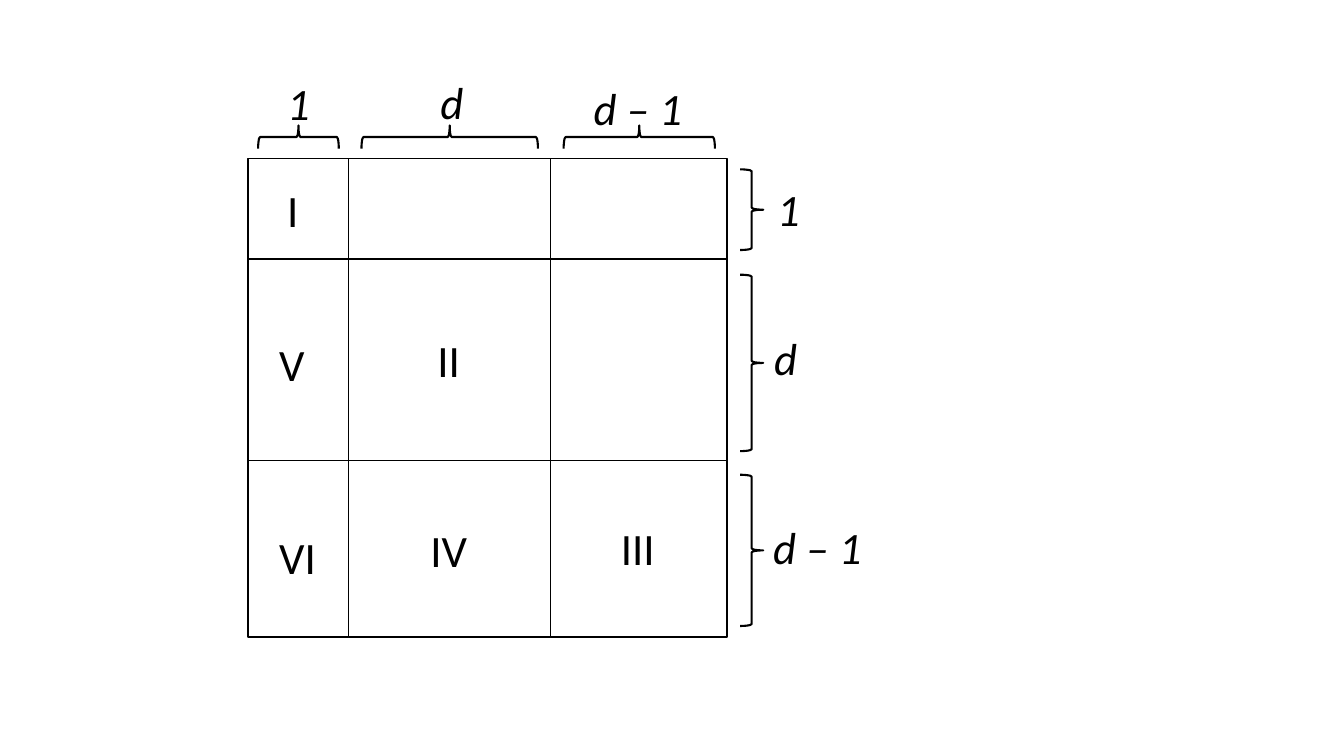
from dataclasses import dataclass
from itertools import accumulate
from pptx import Presentation
from pptx.dml.color import RGBColor
from pptx.enum.shapes import MSO_SHAPE
from pptx.enum.text import MSO_AUTO_SIZE
from pptx.util import Inches, Pt


@dataclass(frozen=True)
class Theme:
    ink: RGBColor = RGBColor(0, 0, 0)
    font: str = "Calibri"
    text_size: Pt = Pt(32)
    cell_line: Pt = Pt(1)
    brace_line: Pt = Pt(1.5)


theme = Theme()
deck = Presentation()
deck.slide_width, deck.slide_height = Inches(13.33), Inches(7.5)
slide = deck.slides.add_slide(deck.slide_layouts[6])


def add_outline(kind, left, top, width, height, weight, rotation=0):
    outline = slide.shapes.add_shape(
        kind, Inches(left), Inches(top), Inches(width), Inches(height))
    outline.rotation = rotation
    outline.shadow.inherit = False
    outline.fill.background()
    outline.line.color.rgb = theme.ink
    outline.line.width = weight


def add_label(text, left, top, width, italic):
    label = slide.shapes.add_textbox(
        Inches(left), Inches(top), Inches(width), Inches(0.64))
    frame = label.text_frame
    frame.word_wrap = italic
    frame.auto_size = MSO_AUTO_SIZE.SHAPE_TO_FIT_TEXT
    paragraph = frame.paragraphs[0]
    paragraph.text = text
    paragraph.font.name = theme.font
    paragraph.font.size = theme.text_size
    paragraph.font.italic = italic
    paragraph.font.color.rgb = theme.ink


block_sizes = [1, 2, 1.75]
matrix_left, matrix_top = 2.46, 1.57
column_lefts = list(accumulate(block_sizes[:-1], initial=matrix_left))
row_tops = list(accumulate(block_sizes[:-1], initial=matrix_top))

for top, height in zip(row_tops, block_sizes):
    for left, width in zip(column_lefts, block_sizes):
        add_outline(MSO_SHAPE.RECTANGLE, left, top, width, height, theme.cell_line)

numerals = [
    ("I", 2.75, 1.76, 0.32),
    ("II", 4.24, 3.25, 0.43),
    ("III", 6.06, 5.12, 0.54),
    ("IV", 4.17, 5.14, 0.57),
    ("V", 2.67, 3.29, 0.46),
    ("VI", 2.67, 5.21, 0.57),
]
for numeral, left, top, width in numerals:
    add_label(numeral, left, top, width, italic=False)

brace_depth = 0.23
column_brace_middle = 1.36
row_brace_left = 7.34
dimensions = [
    ("1", 0.38, 0.8, 2.96, 2.08, (2.75, 0.7), (7.61, 1.75)),
    ("d", 0.38, 1.75, 4.46, 3.6, (4.27, 0.69), (7.58, 3.23)),
    ("d – 1", 1.18, 1.5, 6.34, 5.46, (5.79, 0.75), (7.57, 5.11)),
]
for dimension, width, span, column_middle, row_middle, above, beside in dimensions:
    add_outline(MSO_SHAPE.LEFT_BRACE, column_middle - brace_depth / 2,
                column_brace_middle - span / 2, brace_depth, span,
                theme.brace_line, rotation=90)
    add_outline(MSO_SHAPE.LEFT_BRACE, row_brace_left, row_middle - span / 2,
                brace_depth, span, theme.brace_line, rotation=180)
    for left, top in (above, beside):
        add_label(dimension, left, top, width, italic=True)

deck.save("out.pptx")
